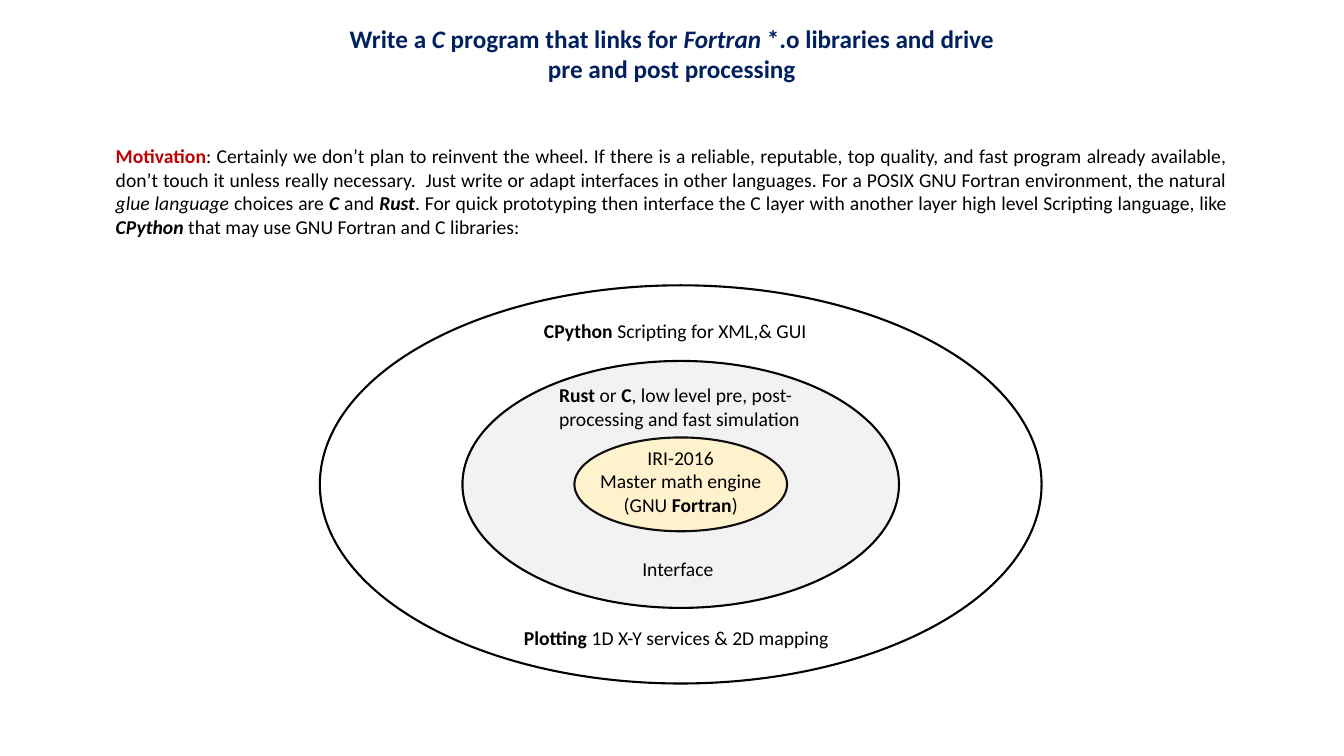
from dataclasses import dataclass

from pptx import Presentation
from pptx.dml.color import RGBColor
from pptx.enum.shapes import MSO_SHAPE
from pptx.enum.text import MSO_ANCHOR, MSO_AUTO_SIZE, PP_ALIGN
from pptx.util import Pt

ELLIPSE = MSO_SHAPE.OVAL
TOP = MSO_ANCHOR.TOP
NO_AUTOFIT = MSO_AUTO_SIZE.NONE
LEFT, CENTER, JUSTIFY = PP_ALIGN.LEFT, PP_ALIGN.CENTER, PP_ALIGN.JUSTIFY
TITLE_ONLY = 5


@dataclass(frozen=True)
class Theme:
    font: str = "Calibri"
    title_size: float = 18
    body_size: float = 14
    outline_width: float = 1.5
    title: str = "002060"
    accent: str = "C00000"
    text: str = "000000"
    core_outline: str = "0D0D0D"
    interface_fill: str = "F2F2F2"
    core_fill: str = "FFF2CC"


THEME = Theme()

# Each run is (text, style); in a style, b is bold and i is italic.
TITLE = [
    ("Write a ", "b"), ("C", "bi"), (" program that links for ", "b"),
    ("Fortran", "bi"),
    (" *.o libraries and drive pre and post processing", "b"),
]
MOTIVATION = [
    ("Motivation", "b", THEME.accent),
    (": Certainly we don’t plan to reinvent the wheel. If there is a reliable, "
     "reputable, top quality, and fast program already available, don’t touch "
     "it unless really necessary.  Just write or adapt interfaces in other "
     "languages. For a POSIX GNU Fortran environment, the natural ", ""),
    ("glue language ", "i"), ("choices are ", ""), ("C", "bi"), (" and ", ""),
    ("Rust", "bi"),
    (". For quick prototyping then interface the C layer with another layer "
     "high level Scripting language, like ", ""),
    ("CPython", "bi"),
    (" that may use GNU Fortran and C libraries:", ""),
]

# Concentric layers, outermost first: width, height, fill, outline
LAYERS = [
    (515.5, 284.4, None, THEME.text),
    (311.8, 176.4, THEME.interface_fill, THEME.text),
    (151.9, 67, THEME.core_fill, THEME.core_outline),
]
# Labels on the vertical axis: offset from the top, width, height, alignment, paragraphs
LABELS = [
    (110.9, 131.8, 58.3, CENTER, [
        [("IRI-2016", "")],
        [("Master math engine", "")],
        [("(GNU ", ""), ("Fortran", "b"), (")", "")],
    ]),
    (66.2, 187.9, 41, LEFT, [[
        ("Rust", "b"), (" or ", ""), ("C", "b"),
        (", low level pre, post-processing and fast simulation", ""),
    ]]),
    (190.8, 69.1, 24.5, LEFT, [[("Interface", "")]]),
    (20.2, 209.5, 24.5, LEFT, [[("CPython ", "b"), ("Scripting for XML,& GUI", "")]]),
    (239.8, 238.3, 24.5, LEFT, [[("Plotting ", "b"), ("1D X-Y services & 2D mapping", "")]]),
]


def color(value):
    return RGBColor.from_string(value)


def write_text(shape, paragraphs, alignment, size, default_color):
    frame = shape.text_frame
    frame.word_wrap = True
    frame.auto_size = NO_AUTOFIT
    frame.vertical_anchor = TOP
    frame.margin_left = frame.margin_right = Pt(7.2)
    frame.margin_top = frame.margin_bottom = Pt(3.6)
    for index, runs in enumerate(paragraphs):
        paragraph = frame.add_paragraph() if index else frame.paragraphs[0]
        paragraph.alignment = alignment
        paragraph.line_spacing = 1.0
        paragraph.space_before = Pt(0)
        for text, style, *own_color in runs:
            run = paragraph.add_run()
            run.text = text
            run.font.name = THEME.font
            run.font.size = Pt(size)
            run.font.bold = "b" in style
            run.font.italic = "i" in style
            run.font.color.rgb = color(own_color[0] if own_color else default_color)


def place_title(slide, left, top, width, height):
    title = slide.shapes.title
    title.left, title.top = Pt(left), Pt(top)
    title.width, title.height = Pt(width), Pt(height)
    write_text(title, [TITLE], CENTER, THEME.title_size, THEME.title)


def add_motivation(slide, left, top, width, height):
    box = slide.shapes.add_textbox(Pt(left), Pt(top), Pt(width), Pt(height))
    write_text(box, [MOTIVATION], JUSTIFY, THEME.body_size, THEME.text)


def add_layer_diagram(slide, left, top, width, height):
    shapes = slide.shapes.add_group_shape().shapes
    center_x, center_y = left + width / 2, top + height / 2

    # Nested ellipses
    for layer_width, layer_height, fill, outline in LAYERS:
        ellipse = shapes.add_shape(
            ELLIPSE, Pt(center_x - layer_width / 2), Pt(center_y - layer_height / 2),
            Pt(layer_width), Pt(layer_height))
        ellipse.shadow.inherit = False
        if fill:
            ellipse.fill.solid()
            ellipse.fill.fore_color.rgb = color(fill)
        else:
            ellipse.fill.background()
        ellipse.line.color.rgb = color(outline)
        ellipse.line.width = Pt(THEME.outline_width)

    # Labels
    for offset, label_width, label_height, alignment, paragraphs in LABELS:
        label = shapes.add_textbox(
            Pt(center_x - label_width / 2), Pt(top + offset),
            Pt(label_width), Pt(label_height))
        write_text(label, paragraphs, alignment, THEME.body_size, THEME.text)


def main():
    presentation = Presentation()
    presentation.slide_width, presentation.slide_height = Pt(960), Pt(540)
    slide = presentation.slides.add_slide(presentation.slide_layouts[TITLE_ONLY])
    place_title(slide, 237.6, 13, 484.6, 51)
    add_motivation(slide, 75.6, 99.4, 808.6, 75)
    add_layer_diagram(slide, 228.5, 203.8, 515.5, 284.4)
    presentation.save("out.pptx")


if __name__ == "__main__":
    main()
